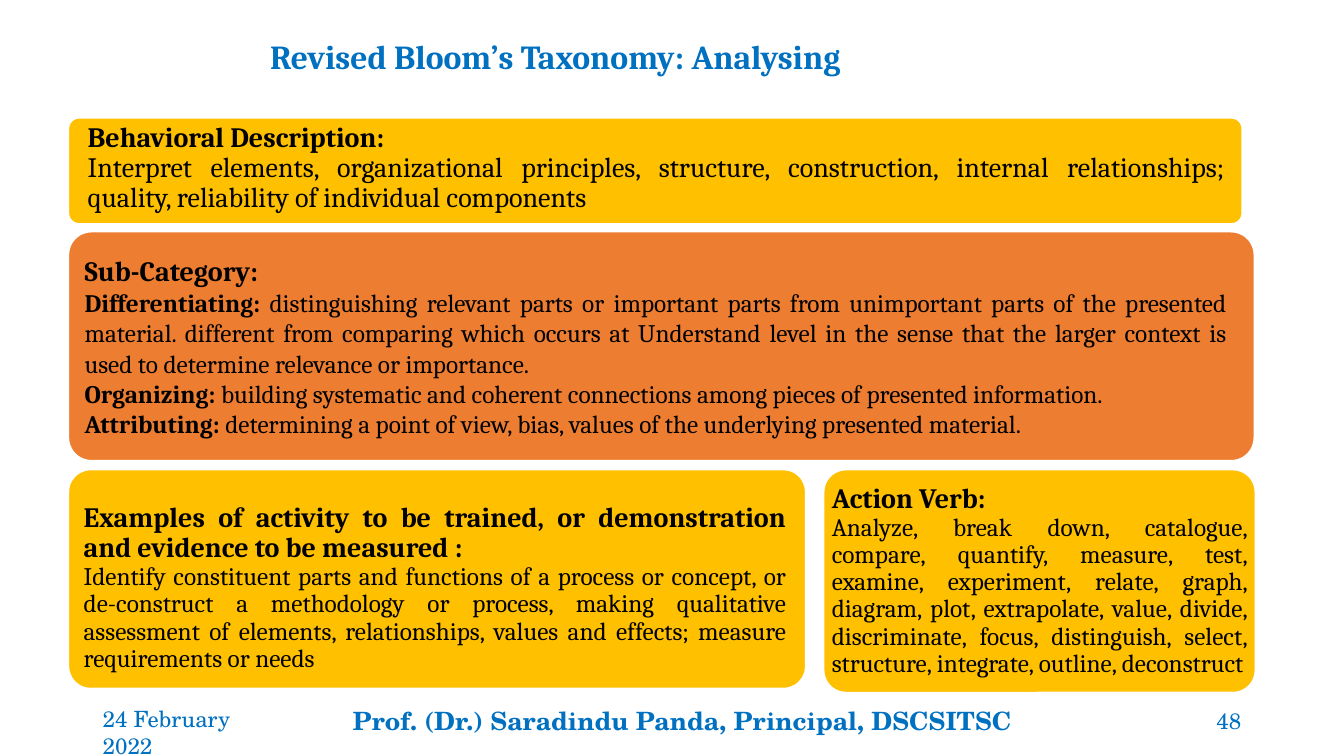
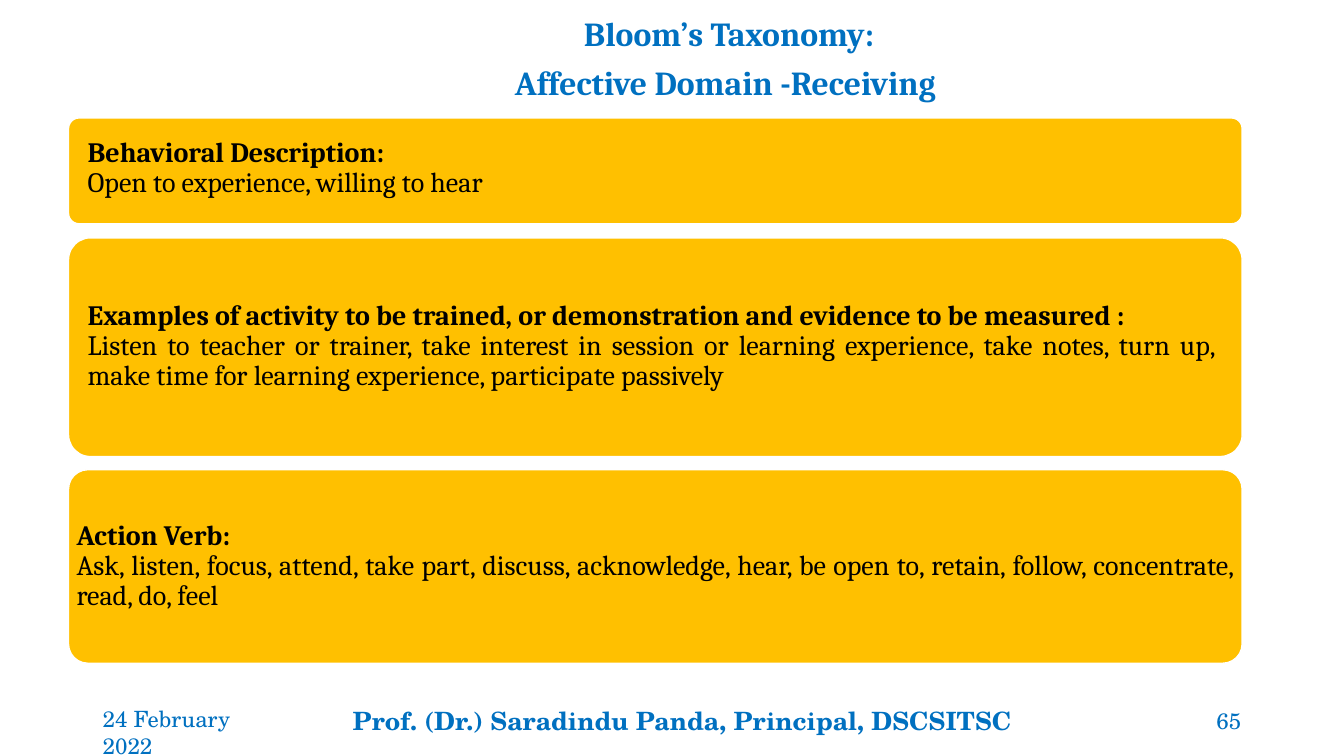
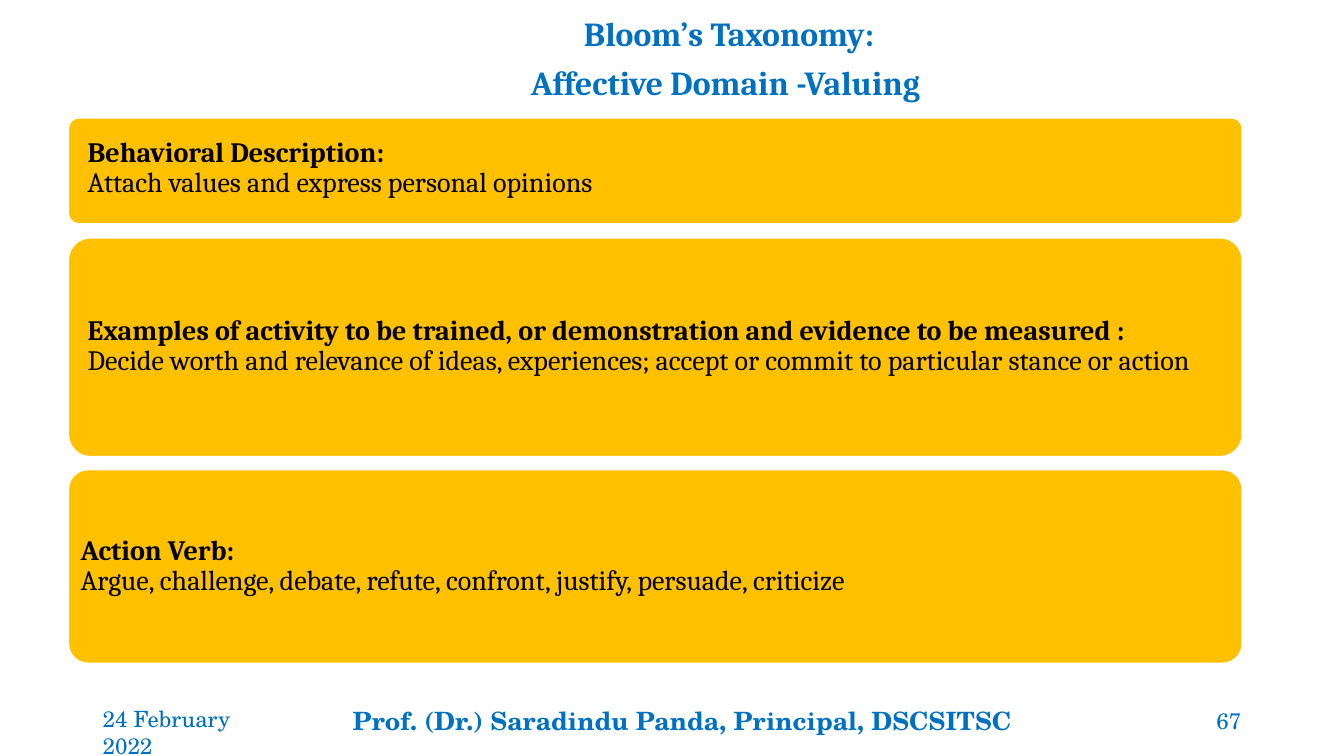
from dataclasses import dataclass

from pptx import Presentation
from pptx.dml.color import RGBColor
from pptx.enum.shapes import MSO_SHAPE
from pptx.enum.text import MSO_ANCHOR, PP_ALIGN
from pptx.util import Inches, Pt


@dataclass(frozen=True)
class Theme:
    blue: RGBColor = RGBColor(0x00, 0x70, 0xC0)
    gold: RGBColor = RGBColor(0xFF, 0xC0, 0x00)
    orange: RGBColor = RGBColor(0xED, 0x7D, 0x31)
    black: RGBColor = RGBColor(0x00, 0x00, 0x00)
    white: RGBColor = RGBColor(0xFF, 0xFF, 0xFF)
    serif: str = "Cambria"
    school: str = "TeX Gyre Schola"
    title: int = 24
    head: int = 20
    body: int = 18
    small: int = 16
    round: float = 0.1


LEFT, WIDE = 0.68, 11.64
TOP, LOW = 1.17, 4.66
DATE = "24 February 2022"
AUTHOR = "Prof. (Dr.) Saradindu Panda, Principal, DSCSITSC"
EXAMPLES = "Examples of activity to be trained, or demonstration and evidence to be measured :"


class Deck:
    def __init__(self, theme):
        self.theme = theme
        self.file = Presentation()
        self.file.slide_width = Inches(13.33)
        self.file.slide_height = Inches(7.5)
        self.page = None

    def start(self, number):
        """Add a blank slide with its footer."""
        self.page = self.file.slides.add_slide(self.file.slide_layouts[6])
        t = self.theme
        self.foot(DATE, 0.92, 1.99, t.small)
        self.foot(AUTHOR, 3.4, 6.81, t.body, bold=True)
        self.foot(str(number), 10.96, 1.45, t.small, align=PP_ALIGN.RIGHT,
                  anchor=MSO_ANCHOR.MIDDLE)

    def style(self, para, size, color, bold, align, face=None):
        para.alignment = align
        font = para.font
        font.name = face or self.theme.serif
        font.size = Pt(size)
        font.bold = bold
        font.color.rgb = color

    def box(self, at, anchor):
        frame = self.page.shapes.add_textbox(*map(Inches, at)).text_frame
        frame.word_wrap = True
        frame.vertical_anchor = anchor
        return frame

    def foot(self, text, left, width, size, bold=False, align=PP_ALIGN.LEFT,
             anchor=MSO_ANCHOR.TOP):
        para = self.box((left, 6.95, width, 0.4), anchor).paragraphs[0]
        para.text = text
        self.style(para, size, self.theme.blue, bold, align, self.theme.school)

    def title(self, lines, at, align, space, after):
        frame = self.box(at, MSO_ANCHOR.BOTTOM)
        for i, line in enumerate(lines):
            para = frame.add_paragraph() if i else frame.paragraphs[0]
            para.text = line
            self.style(para, self.theme.title, self.theme.blue, True, align)
            para.line_spacing = space
            para.space_after = Pt(after)
            if i:
                para.space_before = Pt(6)

    def card(self, at, pad, head, items, size, fill=None, space=0.9):
        """Draw a rounded card; pad runs left, top, right, bottom from its edges."""
        t = self.theme
        shape = self.page.shapes.add_shape(MSO_SHAPE.ROUNDED_RECTANGLE, *map(Inches, at))
        shape.adjustments[0] = t.round
        shape.shadow.inherit = False
        shape.fill.solid()
        shape.fill.fore_color.rgb = fill or t.gold
        shape.line.color.rgb = t.white
        shape.line.width = Pt(1)

        frame = shape.text_frame
        frame.word_wrap = True
        frame.vertical_anchor = MSO_ANCHOR.MIDDLE
        corner = 0.293 * t.round * min(at[2:])  # a round corner insets text already
        (frame.margin_left, frame.margin_top, frame.margin_right,
         frame.margin_bottom) = (Inches(side - corner) for side in pad)

        para = frame.paragraphs[0]
        para.text = head
        self.style(para, t.head, t.black, True, PP_ALIGN.JUSTIFY)
        para.line_spacing = space
        for lead, text in items:
            para = frame.add_paragraph()
            if lead:
                run = para.add_run()
                run.text = lead
                run.font.bold = True
            para.add_run().text = text
            self.style(para, size, t.black, False, PP_ALIGN.JUSTIFY)
            para.line_spacing = space

    def behave(self, text):
        self.card((LEFT, TOP, WIDE, 1.05), (0.19, 0.08, 0.17, 0.13),
                  "Behavioral Description:", [("", text)], self.theme.head)

    def affect(self, number, level, behave, example, verbs, inset):
        """Build one slide of the affective domain."""
        self.start(number)
        self.title(["Bloom’s Taxonomy:", f"Affective Domain -{level} "],
                   (2.32, 0.18, 9.82, 0.89), PP_ALIGN.CENTER, 0.9, 3)
        self.behave(behave)
        size = self.theme.head
        self.card((LEFT, 2.36, WIDE, 2.17), (0.19, 0.17, 0.26, 0.19),
                  EXAMPLES, [("", example)], size)
        self.card((LEFT, LOW, WIDE, 1.92), (inset, 0.08, 0.08, 0.08),
                  "Action Verb:", [("", verbs)], size)

    def analyse(self):
        t = self.theme
        self.start(48)
        self.title(["Revised Bloom’s Taxonomy: Analysing"],
                   (2.58, 0.33, 10.03, 0.48), PP_ALIGN.JUSTIFY, 1.07, 8)
        self.behave("Interpret elements, organizational principles, structure, "
                    "construction, internal relationships; quality, reliability of "
                    "individual components")
        self.card((LEFT, 2.3, 11.76, 2.27), (0.16, 0.11, 0.27, 0.11), "Sub-Category:", [
            ("Differentiating:", " distinguishing relevant parts or important parts from "
             "unimportant parts of the presented material. different from comparing which "
             "occurs at Understand level in the sense that the larger context is used to "
             "determine relevance or importance."),
            ("Organizing:", " building systematic and coherent connections among pieces "
             "of presented information."),
            ("Attributing:", " determining a point of view, bias, values of the "
             "underlying presented material."),
        ], t.body, t.orange, 1.0)
        self.card((LEFT, LOW, 7.31, 2.17), (0.15, 0.27, 0.19, 0.09), EXAMPLES, [
            ("", "Identify constituent parts and functions of a process or concept, or "
             "de-construct a methodology or process, making qualitative assessment of "
             "elements, relationships, values and effects; measure requirements or needs"),
        ], t.body)
        self.card((8.17, LOW, 4.28, 2.21), (0.08,) * 4, "Action Verb:", [
            ("", "Analyze, break down, catalogue, compare, quantify, measure, test, "
             "examine, experiment, relate, graph, diagram, plot, extrapolate, value, "
             "divide, discriminate, focus, distinguish, select, structure, integrate, "
             "outline, deconstruct"),
        ], t.body)


def main():
    deck = Deck(Theme())
    deck.analyse()
    deck.affect(
        65, "Receiving", "Open to experience, willing to hear",
        "Listen to teacher or trainer, take interest in session or learning experience, "
        "take notes, turn up, make time for learning experience, participate passively",
        "Ask, listen, focus, attend, take part, discuss, acknowledge, hear, be open to, "
        "retain, follow, concentrate, read, do, feel", 0.08)
    deck.affect(
        67, "Valuing", "Attach values and express personal opinions",
        "Decide worth and relevance of ideas, experiences; accept or commit to "
        "particular stance or action",
        "Argue, challenge, debate, refute, confront, justify, persuade, criticize", 0.12)
    deck.file.save("out.pptx")


if __name__ == "__main__":
    main()
